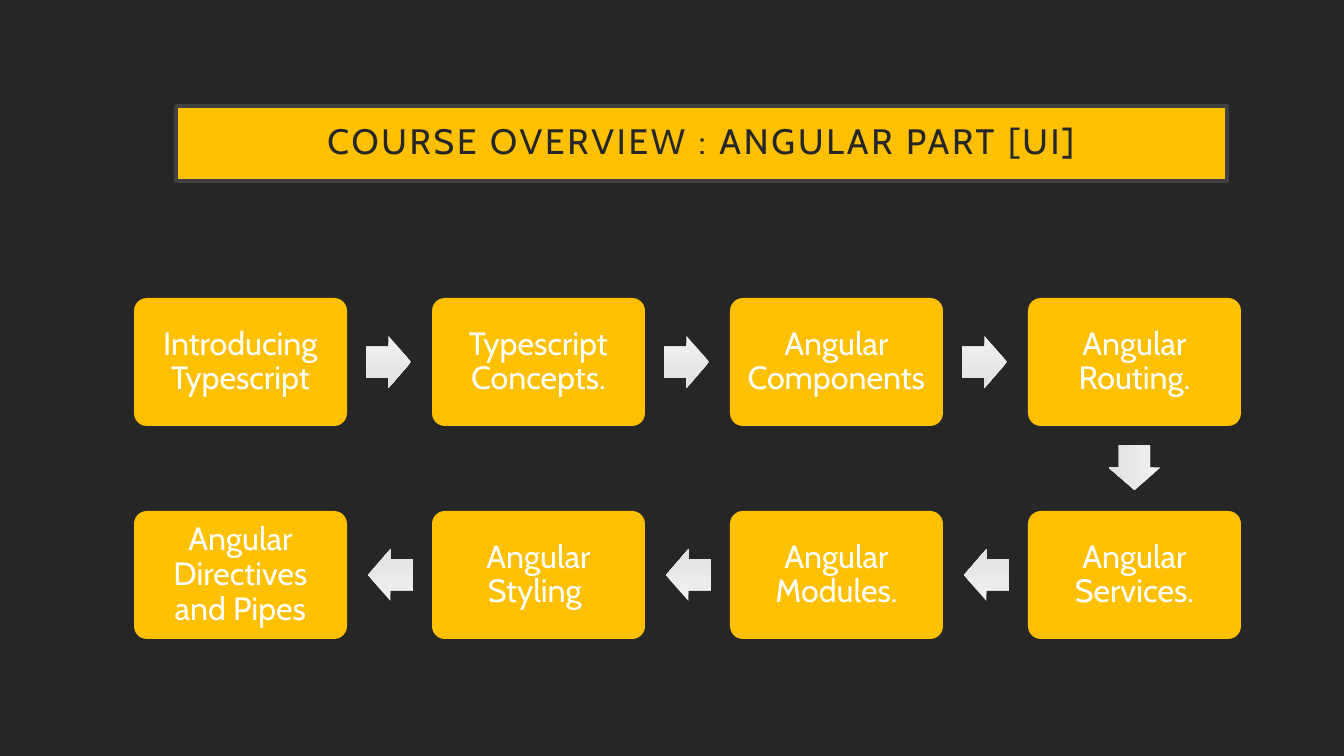
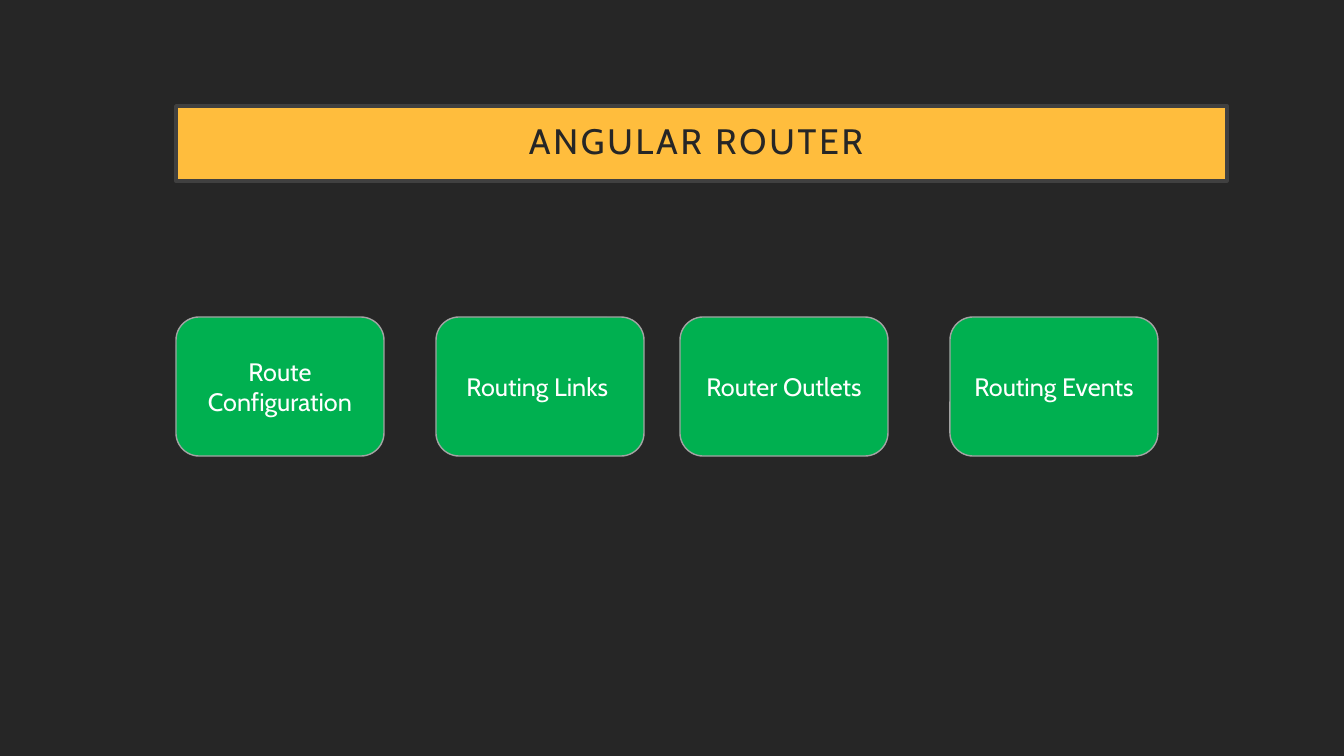
from pptx import Presentation
from pptx.dml.color import RGBColor
from pptx.enum.shapes import MSO_SHAPE
from pptx.enum.text import MSO_ANCHOR, PP_ALIGN
from pptx.util import Emu, Pt

RECTANGLE = MSO_SHAPE.RECTANGLE
ROUNDED = MSO_SHAPE.ROUNDED_RECTANGLE
ARROW = MSO_SHAPE.RIGHT_ARROW
CENTER = PP_ALIGN.CENTER
MIDDLE = MSO_ANCHOR.MIDDLE

FONT = "Cabin"
DARK = RGBColor(0x26, 0x26, 0x26)
BORDER = RGBColor(0x40, 0x40, 0x40)
AMBER = RGBColor(0xFF, 0xC0, 0x00)
ORANGE = RGBColor(0xFF, 0xBD, 0x3D)
GREEN = RGBColor(0x00, 0xB0, 0x50)
GREY = RGBColor(0xA3, 0xA3, 0xA3)
WHITE = RGBColor(0xFF, 0xFF, 0xFF)
ARROW_SHADES = (RGBColor(0xF1, 0xF1, 0xF1), RGBColor(0xE2, 0xE2, 0xE2))

PAGE_SIZE = (1344, 756)
TITLE_AREA = (176, 106, 1051, 75)

COURSE_TITLE = "COURSE OVERVIEW : ANGULAR PART [UI]"
COURSE_STEPS = [
    "Introducing Typescript",
    "Typescript Concepts.",
    "Angular Components",
    "Angular Routing.",
    "Angular Services.",
    "Angular Modules.",
    "Angular Styling ",
    "Angular Directives and Pipes",
]
STEP_COLUMNS = 4
STEP_ORIGIN = (134, 298)
STEP_PITCH = (298, 213)
STEP_SIZE = (213, 128)
STEP_INSETS = (8, 8)
ARROW_SIZE = (45, 52)
ARROW_SETBACK = 1

ROUTER_TITLE = "ANGULAR ROUTER "
ROUTER_TOPICS = [
    (176, "Route Configuration"),
    (436, "Routing Links "),
    (680, "Router Outlets"),
    (950, "Routing Events"),
]
TOPIC_TOP = 317
TOPIC_SIZE = (208, 139)


def px(length):
    return Emu(round(length * 914400 / 100.8))


def add_box(page, kind, area, fill=None, line=None, line_width=1):
    box = page.shapes.add_shape(kind, *map(px, area))
    box.shadow.inherit = False
    if fill is not None:
        box.fill.solid()
        box.fill.fore_color.rgb = fill
    if line is None:
        box.line.fill.background()
    else:
        box.line.color.rgb = line
        box.line.width = Pt(line_width)
    return box


def write(box, text, size, color=WHITE, insets=(10, 5), line_spacing=1.0, tracking=0):
    """Centre text in a box; tracking is in points, insets are (x, y) in px."""
    frame = box.text_frame
    frame.word_wrap = True
    frame.vertical_anchor = MIDDLE
    frame.margin_left = frame.margin_right = px(insets[0])
    frame.margin_top = frame.margin_bottom = px(insets[1])
    para = frame.paragraphs[0]
    para.alignment = CENTER
    para.line_spacing = line_spacing
    span = para.add_run()
    span.text = text
    span.font.name = FONT
    span.font.size = Pt(size)
    span.font.color.rgb = color
    if tracking:
        span.font._element.set("spc", str(tracking * 100))


def add_page(deck, title, band_color):
    page = deck.slides.add_slide(deck.slide_layouts[6])
    band = add_box(page, RECTANGLE, TITLE_AREA, band_color, BORDER, 2.5)
    write(band, title, 25.2, DARK, insets=(20, 20), line_spacing=0.9, tracking=2)
    return page


def step_center(index):
    """Steps run left to right, then right to left on the next row."""
    row, column = divmod(index, STEP_COLUMNS)
    if row % 2:
        column = STEP_COLUMNS - 1 - column
    return tuple(
        origin + place * pitch + size / 2
        for origin, place, pitch, size in zip(
            STEP_ORIGIN, (column, row), STEP_PITCH, STEP_SIZE)
    )


def centered(center, size):
    return (center[0] - size[0] / 2, center[1] - size[1] / 2, *size)


def add_arrow(page, start, end):
    """Put a block arrow halfway between two step centres, set slightly back."""
    (x1, y1), (x2, y2) = start, end
    if y1 != y2:
        rotation, direction = 90, (0, 1)
    elif x2 > x1:
        rotation, direction = 0, (1, 0)
    else:
        rotation, direction = 180, (-1, 0)
    middle = ((x1 + x2) / 2 - ARROW_SETBACK * direction[0],
              (y1 + y2) / 2 - ARROW_SETBACK * direction[1])
    arrow = add_box(page, ARROW, centered(middle, ARROW_SIZE))
    arrow.rotation = rotation
    arrow.adjustments[0] = 0.6
    arrow.adjustments[1] = 0.5
    arrow.fill.gradient()
    arrow.fill.gradient_angle = 270
    for stop, shade in zip(arrow.fill.gradient_stops, ARROW_SHADES):
        stop.color.rgb = shade


def build_course_page(deck):
    page = add_page(deck, COURSE_TITLE, AMBER)
    centers = [step_center(index) for index in range(len(COURSE_STEPS))]
    for center, label in zip(centers, COURSE_STEPS):
        step = add_box(page, ROUNDED, centered(center, STEP_SIZE), AMBER)
        step.adjustments[0] = 0.1
        write(step, label, 23, insets=STEP_INSETS, line_spacing=0.9)
    for start, end in zip(centers, centers[1:]):
        add_arrow(page, start, end)


def build_router_page(deck):
    page = add_page(deck, ROUTER_TITLE, ORANGE)
    for left, label in ROUTER_TOPICS:
        topic = add_box(page, ROUNDED, (left, TOPIC_TOP, *TOPIC_SIZE), GREEN, GREY)
        write(topic, label, 18)


def main():
    deck = Presentation()
    deck.slide_width, deck.slide_height = map(px, PAGE_SIZE)
    background = deck.slide_master.background.fill
    background.solid()
    background.fore_color.rgb = DARK
    build_course_page(deck)
    build_router_page(deck)
    deck.save("out.pptx")


if __name__ == "__main__":
    main()
